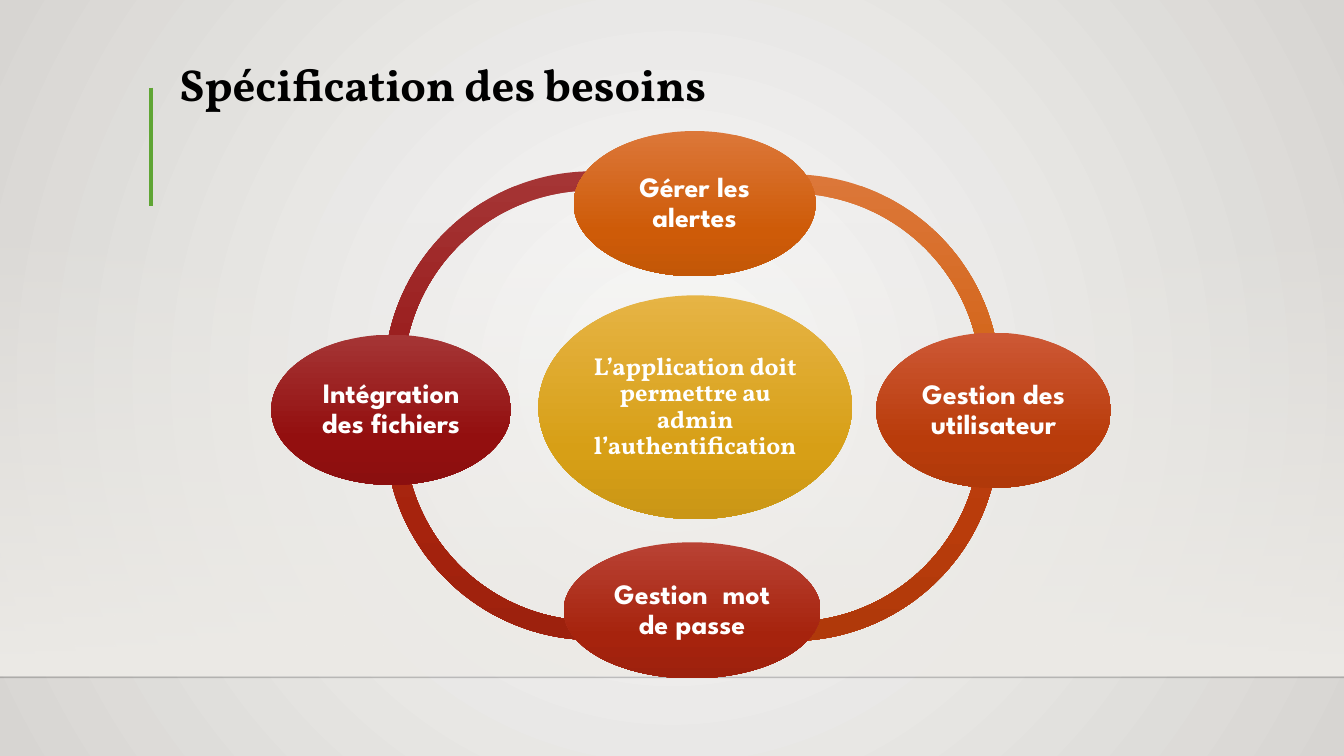
from dataclasses import dataclass
from typing import Any

import pptx
import pptx.dml.color
import pptx.enum.shapes
import pptx.enum.text
import pptx.oxml
import pptx.oxml.ns
import pptx.util

Inches = pptx.util.Inches
Kind = pptx.enum.shapes.MSO_SHAPE
Anchor = pptx.enum.text.MSO_ANCHOR
Align = pptx.enum.text.PP_ALIGN
Box = tuple[float, float, float, float]

DOWN = '<a:lin ang="5400000" scaled="0"/>'
ROUND = ('<a:path path="circle"><a:fillToRect l="50000" t="50000" '
         'r="50000" b="50000"/></a:path>')


@dataclass
class Stop:
    place: int
    color: str
    alpha: int = 100


@dataclass
class Arc:
    left: float
    top: float
    start: float
    end: float
    tint: str


@dataclass
class Oval:
    text: str
    box: Box
    tint: str
    font: str = "League Spartan"
    size: float = 20


@dataclass
class Rule:
    start: tuple[float, float]
    end: tuple[float, float]
    color: str
    width: float
    alpha: int = 100


TINTS = {
    "maroon": ("A53535", "930F0F", "8B0F0F"),
    "red": ("B94234", "A6230D", "9D210D"),
    "rust": ("CD5835", "B93C0B", "B0390A"),
    "orange": ("DC7739", "CE5B08", "C35707"),
    "gold": ("E6B445", "D79F16", "CA9616"),
}

RULES = [
    Rule((0, 6.72), (13.33, 6.72), "000001", 1, 20),
    Rule((1.5, 0.87), (1.5, 2.04), "5FA534", 3),
]

RING = 4.13
BAND = 0.046
ARCS = [
    Arc(3.81, 1.7, 171.47, 299.93, "maroon"),
    Arc(3.82, 2.22, 61.13, 186.27, "red"),
    Arc(5.78, 2.23, 353.77, 119.04, "rust"),
    Arc(5.79, 1.73, 241.44, 7.98, "orange"),
]

OVALS = [
    Oval("L’application doit permettre au admin l’authentification",
         (5.34, 2.93, 3.11, 2.22), "gold", "Vollkorn", 17.5),
    Oval("Gérer les alertes", (5.69, 1.3, 2.4, 1.44), "orange"),
    Oval("Gestion des utilisateur", (8.69, 3.3, 2.33, 1.54), "rust"),
    Oval("Gestion  mot de passe", (5.59, 5.38, 2.55, 1.35), "red"),
    Oval("Intégration des fichiers", (2.69, 3.32, 2.38, 1.49), "maroon"),
]


def paint(code: str) -> pptx.dml.color.RGBColor:
    return pptx.dml.color.RGBColor.from_string(code)


def blend(owner: Any, fill: Any, stops: list[Stop], course: str = DOWN) -> None:
    fill.solid()
    fill.fore_color.rgb = paint(stops[0].color)
    marks = "".join(
        f'<a:gs pos="{s.place * 1000}"><a:srgbClr val="{s.color}">'
        f'<a:alpha val="{s.alpha * 1000}"/></a:srgbClr></a:gs>'
        for s in stops)
    grad = pptx.oxml.parse_xml(
        f'<a:gradFill {pptx.oxml.ns.nsdecls("a")} rotWithShape="1">'
        f'<a:gsLst>{marks}</a:gsLst>{course}</a:gradFill>')
    solid = owner.xpath(".//a:solidFill")[0]
    solid.getparent().replace(solid, grad)


def shade(tint: str) -> list[Stop]:
    return [Stop(p, c) for p, c in zip((0, 69, 100), TINTS[tint])]


def draw(slide: Any, kind: Any, box: Box, stops: list[Stop]) -> Any:
    shape = slide.shapes.add_shape(kind, *map(Inches, box))
    shape.shadow.inherit = False
    blend(shape.element, shape.fill, stops)
    shape.line.fill.background()
    return shape


def write(shape: Any, text: str, *, font: str, size: float, color: str,
          align: Any = Align.LEFT, anchor: Any = Anchor.MIDDLE,
          inset: float | None = None) -> None:
    frame = shape.text_frame
    frame.word_wrap = True
    frame.vertical_anchor = anchor
    if inset is not None:
        frame.margin_left = frame.margin_right = Inches(inset)
        frame.margin_top = frame.margin_bottom = Inches(inset)
    para = frame.paragraphs[0]
    para.alignment = align
    para.line_spacing = 0.9
    run = para.add_run()
    run.text = text
    run.font.name = font
    run.font.size = pptx.util.Pt(size)
    run.font.bold = True
    run.font.color.rgb = paint(color)


def stroke(slide: Any, rule: Rule) -> None:
    line = slide.shapes.add_connector(
        pptx.enum.shapes.MSO_CONNECTOR.STRAIGHT,
        *map(Inches, rule.start + rule.end))
    line.line.color.rgb = paint(rule.color)
    line.line.width = pptx.util.Pt(rule.width)
    tone = line.element.xpath(".//a:ln//a:srgbClr")[0]
    alpha = pptx.oxml.parse_xml(
        f'<a:alpha {pptx.oxml.ns.nsdecls("a")} val="{rule.alpha * 1000}"/>')
    tone.append(alpha)
    line.element.spPr.append(pptx.oxml.parse_xml(
        f'<a:effectLst {pptx.oxml.ns.nsdecls("a")}/>'))


def bend(slide: Any, arc: Arc) -> None:
    shape = draw(slide, Kind.BLOCK_ARC, (arc.left, arc.top, RING, RING),
                 shade(arc.tint))
    shape.adjustments[0] = arc.start * 0.6
    shape.adjustments[1] = arc.end * 0.6
    shape.adjustments[2] = BAND


def main() -> None:
    deck = pptx.Presentation()
    deck.slide_width = Inches(13.33)
    deck.slide_height = Inches(7.5)
    slide = deck.slides.add_slide(deck.slide_layouts[6])
    blend(slide.element, slide.background.fill,
          [Stop(0, "FAFAF9"), Stop(100, "D7D5D2")], ROUND)
    draw(slide, Kind.RECTANGLE, (0, 2.2, 13.33, 4.5),
         [Stop(0, "EDEBE7", 0), Stop(100, "EDEBE7")])
    for rule in RULES:
        stroke(slide, rule)
    title = slide.shapes.add_textbox(*map(Inches, (1.68, 0, 10.41, 1.15)))
    write(title, "Spécification des besoins", font="Vollkorn", size=32,
          color="000000", anchor=Anchor.BOTTOM)
    for arc in ARCS:
        bend(slide, arc)
    for oval in OVALS:
        shape = draw(slide, Kind.OVAL, oval.box, shade(oval.tint))
        write(shape, oval.text, font=oval.font, size=oval.size,
              color="FFFFFF", align=Align.CENTER, inset=0.03)
    deck.save("out.pptx")


if __name__ == "__main__":
    main()
